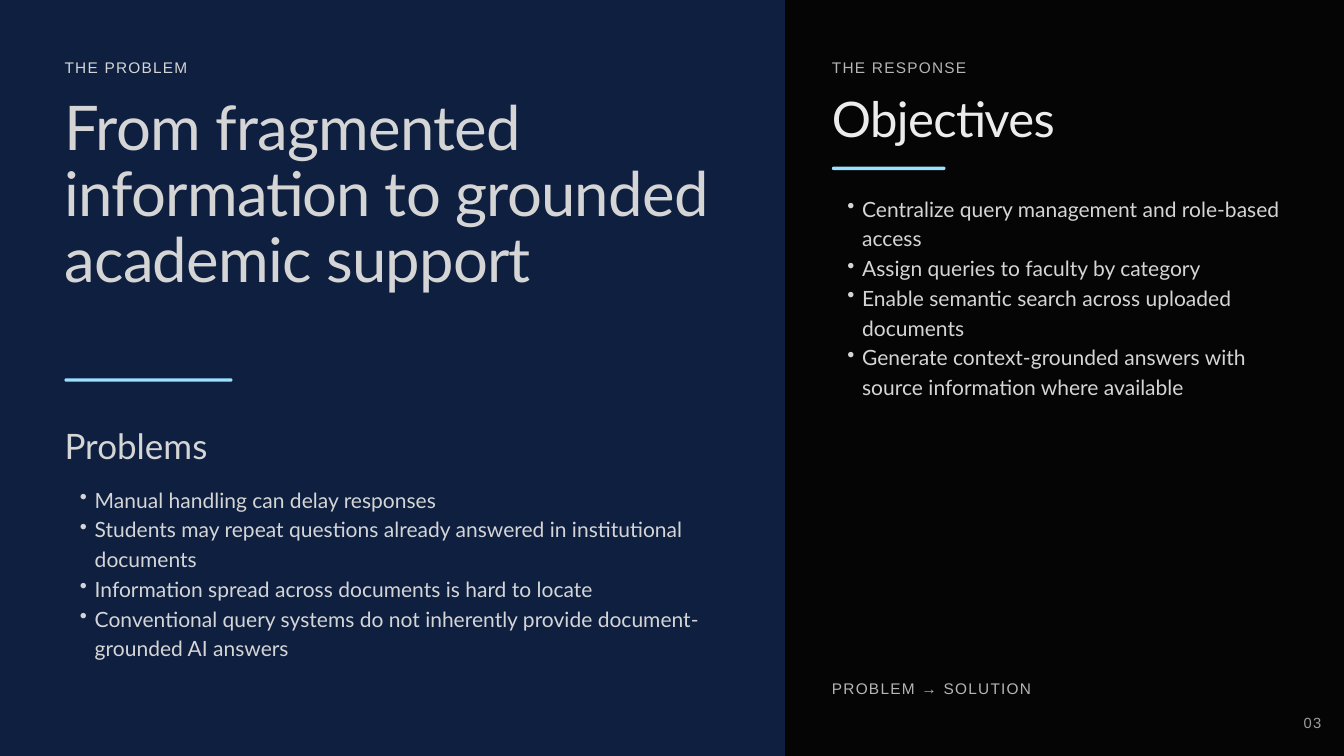
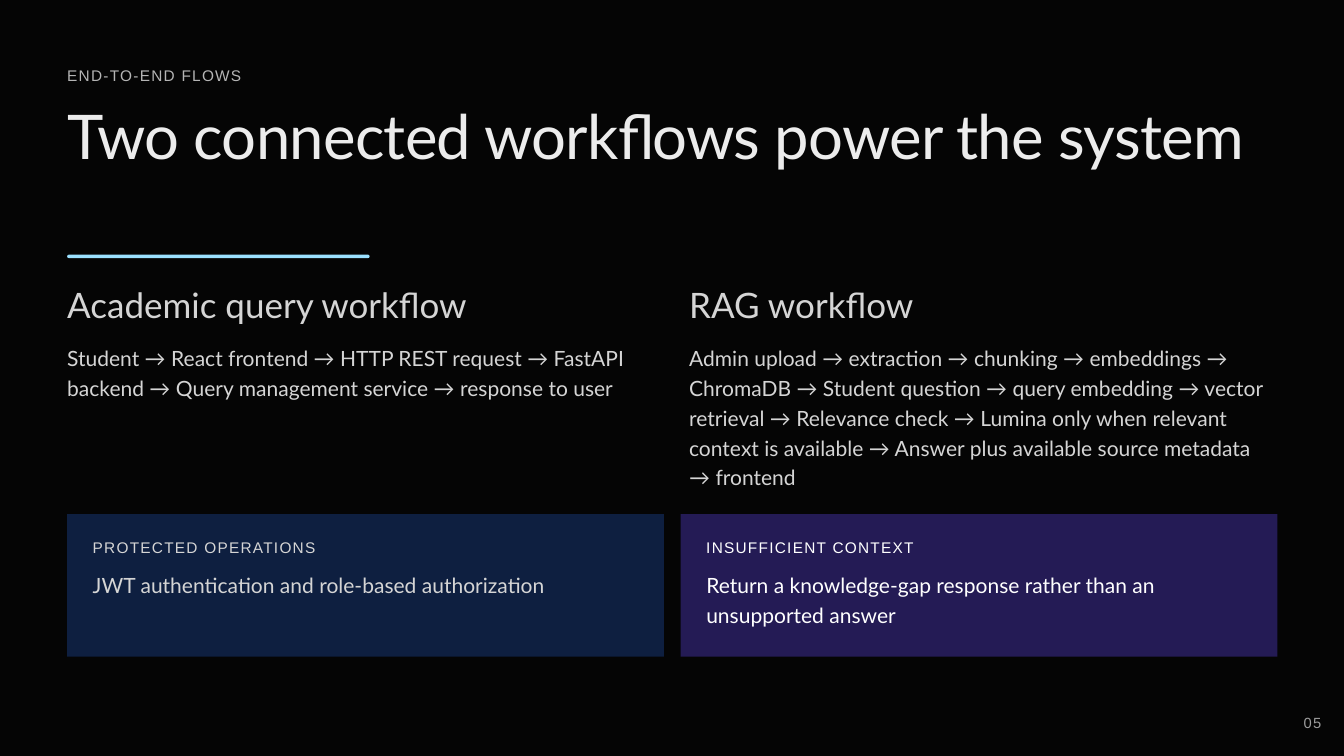
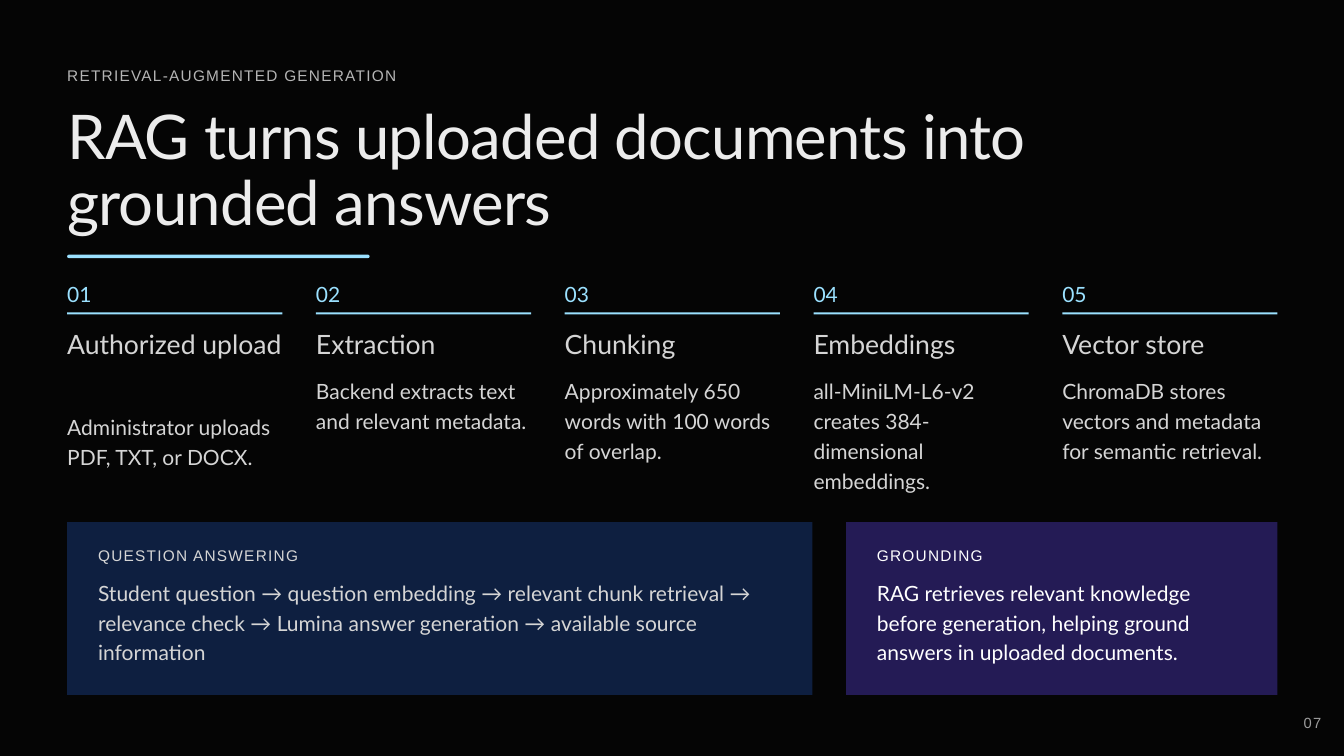
from collections import namedtuple

from lxml import etree
from pptx import Presentation
from pptx.dml.color import RGBColor
from pptx.enum.shapes import MSO_SHAPE
from pptx.enum.text import MSO_ANCHOR, MSO_AUTO_SIZE
from pptx.oxml.ns import qn
from pptx.util import Inches, Pt

RECT = MSO_SHAPE.RECTANGLE
ROUNDED = MSO_SHAPE.ROUNDED_RECTANGLE
MIDDLE = MSO_ANCHOR.MIDDLE
GROW = MSO_AUTO_SIZE.SHAPE_TO_FIT_TEXT
FIXED = MSO_AUTO_SIZE.NONE

# Colours
BLACK = RGBColor(0x05, 0x05, 0x05)
NAVY = RGBColor(0x0E, 0x1F, 0x40)
PURPLE = RGBColor(0x24, 0x1B, 0x55)
SKY = RGBColor(0x9B, 0xE1, 0xFF)
WHITE = RGBColor(0xFF, 0xFF, 0xFF)
BRIGHT = RGBColor(0xEC, 0xEC, 0xEC)
LIGHT = RGBColor(0xD5, 0xD5, 0xD5)
MUTED = RGBColor(0xB5, 0xB5, 0xB5)
DIM = RGBColor(0x9D, 0x9D, 0x9D)

# Text styles: font, size, line height and letter spacing in points
Style = namedtuple("Style", "font size leading spacing")
LABEL = Style("Arial", 16.5, 21.4, 1.4)
PAGE = Style("Arial", 15.8, 22.3, 1.3)
TITLE = Style("Lato", 66, 70.5, -0.8)
SIDE_TITLE = Style("Lato", 52.5, 56.1, -0.6)
HEADING = Style("Lato", 37.5, 49.5, 0)
STEP_NAME = Style("Lato", 28.5, 37.6, 0)
STEP_NUMBER = Style("Lato", 22.5, 22.4, 0)
BODY = Style("Lato", 22.5, 31.9, 0)

# Content area
LEFT = 1
WIDTH = 18.01


def columns(count, gap):
    """Return the left edges and the width of equal columns."""
    w = (WIDTH - gap * (count - 1)) / count
    return [LEFT + i * (w + gap) for i in range(count)], w


def make_bullet(p):
    p.level = 1
    pPr = p._p.get_or_add_pPr()
    pPr.set("marL", str(Inches(0.45)))
    pPr.set("indent", str(Inches(-0.22)))
    etree.SubElement(pPr, qn("a:buChar")).set("char", "•")


def add_text(slide, x, y, w, h, lines, style, color=LIGHT, bullets=False):
    sp = slide.shapes.add_textbox(Inches(x), Inches(y), Inches(w), Inches(h))
    tf = sp.text_frame
    tf.margin_left = tf.margin_right = tf.margin_top = tf.margin_bottom = 0
    tf.word_wrap = True
    tf.auto_size = GROW
    tf.text = "\n".join(lines) if bullets else lines
    for p in tf.paragraphs:
        if bullets:
            make_bullet(p)
        p.line_spacing = Pt(style.leading)
        for r in p.runs:
            r.font.name = style.font
            r.font.size = Pt(style.size)
            r.font.color.rgb = color
            if style.spacing:
                r.font._element.set("spc", str(round(style.spacing * 100)))
    return tf


def add_block(slide, x, y, w, h, color, shape=RECT):
    sp = slide.shapes.add_shape(shape, Inches(x), Inches(y), Inches(w), Inches(h))
    sp.shadow.inherit = False
    sp.fill.solid()
    sp.fill.fore_color.rgb = color
    sp.line.fill.background()
    return sp


def add_accent(slide, x, y, w):
    add_block(slide, x, y, w, 0.05, SKY, ROUNDED).adjustments[0] = 0.5


def add_card(slide, x, y, w, h, pad, color, text_color, label, body, body_h):
    add_block(slide, x, y, w, h, color)
    add_text(slide, x + pad, y + 0.33, w - pad, 0.34, label, LABEL, text_color)
    add_text(slide, x + pad, y + 0.8, w - 2 * pad, body_h, body, BODY, text_color)


def add_step(slide, x, w, number, name, body, name_h, body_h):
    add_text(slide, x, 4.25, 1.39, 0.27, number, STEP_NUMBER, SKY)
    add_block(slide, x, 4.65, w, 0.03, SKY)
    add_text(slide, x, 4.83, w, name_h, name, STEP_NAME)
    add_text(slide, x, 5.01 + name_h, w, body_h, body, BODY)


def add_header(slide, label, title):
    add_text(slide, LEFT, 0.96, 19, 0.34, label, LABEL, MUTED)
    add_text(slide, LEFT, 1.58, WIDTH, 1.88, title, TITLE, BRIGHT)
    add_accent(slide, LEFT, 3.79, 4.5)


def add_page_number(slide, number):
    tf = add_text(slide, 19.4, 10.56, 0.61, 0.35, number, PAGE, DIM)
    tf.auto_size = FIXED
    tf.vertical_anchor = MIDDLE


def new_slide(prs):
    slide = prs.slides.add_slide(prs.slide_layouts[6])
    fill = slide.background.fill
    fill.solid()
    fill.fore_color.rgb = BLACK
    return slide


def build_problem(prs):
    slide = new_slide(prs)
    # Problem panel
    x, w = 0.96, 10.01
    add_block(slide, 0, 0, 11.68, 11.25, NAVY)
    add_text(slide, x, 0.84, 10.72, 0.34, "THE PROBLEM", LABEL)
    add_text(slide, x, 1.45, w, 3.84,
             "From fragmented information to grounded academic support", TITLE)
    add_accent(slide, x, 5.63, 2.5)
    add_text(slide, x, 6.26, w, 0.74, "Problems", HEADING)
    add_text(slide, x, 7.18, w, 2.97, [
        "Manual handling can delay responses",
        "Students may repeat questions already answered in institutional documents",
        "Information spread across documents is hard to locate",
        "Conventional query systems do not inherently provide "
        "document-grounded AI answers",
    ], BODY, bullets=True)

    # Response column
    x, w = 12.38, 6.76
    add_text(slide, x, 0.84, 7.62, 0.34, "THE RESPONSE", LABEL, MUTED)
    add_text(slide, x, 1.42, w, 0.72, "Objectives", SIDE_TITLE, BRIGHT)
    add_accent(slide, x, 2.48, 1.69)
    add_text(slide, x, 2.85, w, 3.41, [
        "Centralize query management and role-based access",
        "Assign queries to faculty by category",
        "Enable semantic search across uploaded documents",
        "Generate context-grounded answers with source information where available",
    ], BODY, bullets=True)
    add_text(slide, x, 10.09, 7.62, 0.34, "PROBLEM → SOLUTION", LABEL, MUTED)
    add_page_number(slide, "03")


def build_workflows(prs):
    slide = new_slide(prs)
    add_header(slide, "END-TO-END FLOWS", "Two connected workflows power the system")

    # Workflows
    flows = [
        ("Academic query workflow",
         "Student → React frontend → HTTP REST request → FastAPI backend → "
         "Query management service → response to user", 0.94),
        ("RAG workflow",
         "Admin upload → extraction → chunking → embeddings → ChromaDB → "
         "Student question → query embedding → vector retrieval → "
         "Relevance check → Lumina only when relevant context is available → "
         "Answer plus available source metadata → frontend", 2.27),
    ]
    xs, w = columns(2, 0.5)
    for x, (heading, body, body_h) in zip(xs, flows):
        add_text(slide, x, 4.16, w, 0.74, heading, HEADING)
        add_text(slide, x, 5.08, w, body_h, body, BODY)

    # Safeguard cards
    cards = [
        (NAVY, LIGHT, "PROTECTED OPERATIONS",
         "JWT authentication and role-based authorization", 0.5),
        (PURPLE, WHITE, "INSUFFICIENT CONTEXT",
         "Return a knowledge-gap response rather than an unsupported answer", 0.94),
    ]
    xs, w = columns(2, 0.25)
    for x, card in zip(xs, cards):
        add_card(slide, x, 7.65, w, 2.12, 0.38, *card)
    add_page_number(slide, "05")


def build_rag(prs):
    slide = new_slide(prs)
    add_header(slide, "RETRIEVAL-AUGMENTED GENERATION",
               "RAG turns uploaded documents into grounded answers")

    # Pipeline steps: name, body, name height, body height
    steps = [
        ("Authorized upload", "Administrator uploads PDF, TXT, or DOCX.", 1.09, 1.38),
        ("Extraction", "Backend extracts text and relevant metadata.", 0.56, 1.38),
        ("Chunking", "Approximately 650 words with 100 words of overlap.", 0.56, 1.38),
        ("Embeddings", "all-MiniLM-L6-v2 creates 384-dimensional embeddings.",
         0.56, 1.83),
        ("Vector store", "ChromaDB stores vectors and metadata for semantic retrieval.",
         0.56, 1.38),
    ]
    xs, w = columns(len(steps), 0.5)
    for i, (x, step) in enumerate(zip(xs, steps), 1):
        add_step(slide, x, w, f"{i:02}", *step)

    # Answer cards
    y, h, pad = 7.77, 2.57, 0.46
    add_card(slide, LEFT, y, 11.09, h, pad, NAVY, LIGHT, "QUESTION ANSWERING",
             "Student question → question embedding → relevant chunk retrieval → "
             "relevance check → Lumina answer generation → "
             "available source information", 1.38)
    add_card(slide, 12.59, y, 6.42, h, pad, PURPLE, WHITE, "GROUNDING",
             "RAG retrieves relevant knowledge before generation, "
             "helping ground answers in uploaded documents.", 1.38)
    add_page_number(slide, "07")


def main():
    prs = Presentation()
    prs.slide_width = Inches(20)
    prs.slide_height = Inches(11.25)
    build_problem(prs)
    build_workflows(prs)
    build_rag(prs)
    prs.save("out.pptx")


if __name__ == "__main__":
    main()
